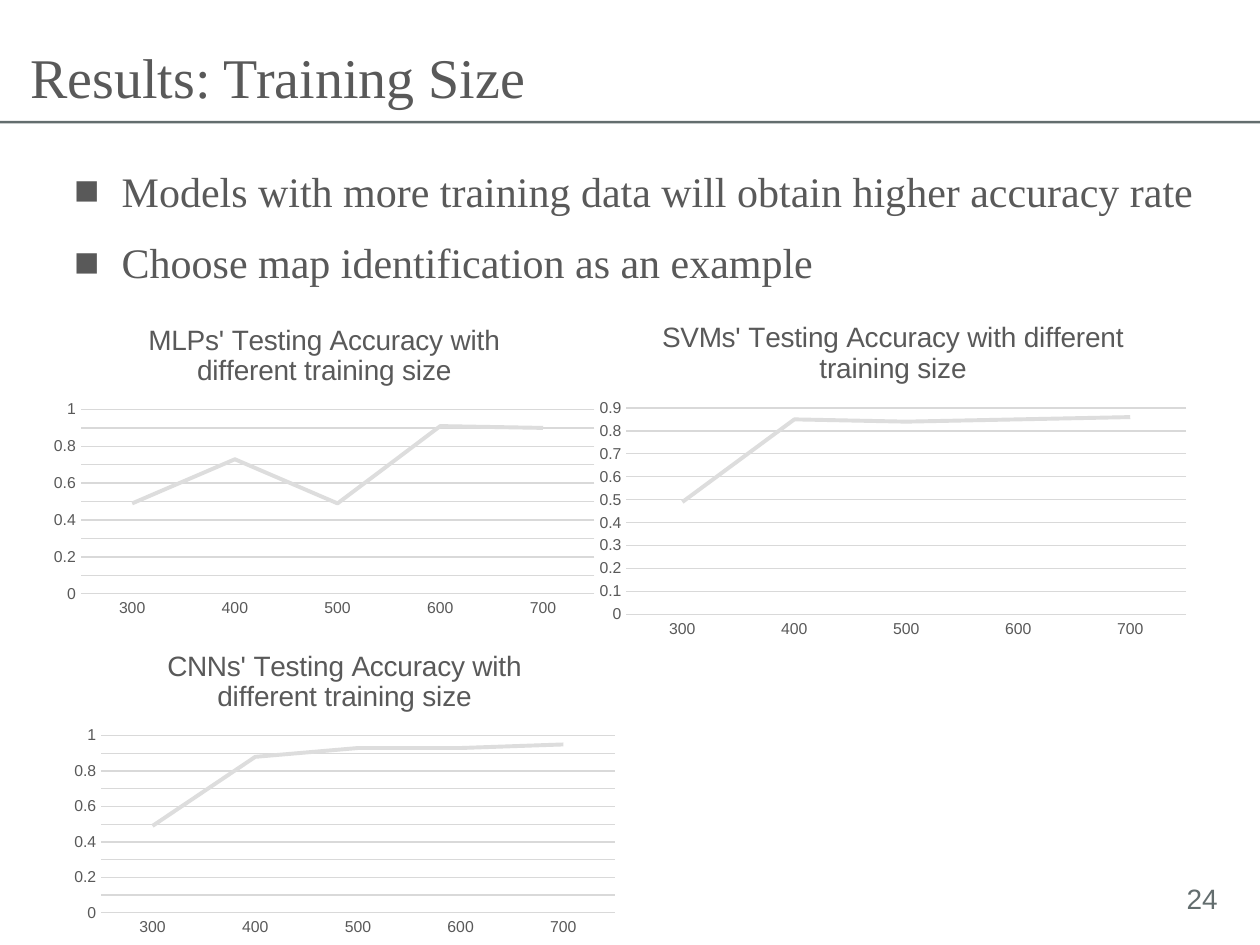
import pptx
import pptx.chart.data
import pptx.dml.color
import pptx.enum.chart
import pptx.enum.shapes
import pptx.enum.text
import pptx.oxml
import pptx.util

Cm, Pt = pptx.util.Cm, pptx.util.Pt

TITLE = "Results: Training Size"
POINTS = [
    "Models with more training data will obtain higher accuracy rate",
    "Choose map identification as an example",
]
PAGE_NUMBER = "24"
TRAINING_SIZES = ["300", "400", "500", "600", "700"]
CHARTS = [
    {"model": "MLPs", "box": (0.86, 6.12, 11.35, 6.45), "top": 1.0,
     "accuracy": (0.49, 0.73, 0.49, 0.91, 0.9)},
    {"model": "SVMs", "box": (11.84, 6.07, 12.32, 6.93), "top": 0.9,
     "accuracy": (0.49, 0.85, 0.84, 0.85, 0.86)},
    {"model": "CNNs", "box": (1.27, 12.7, 11.35, 6.3), "top": 1.0,
     "accuracy": (0.49, 0.88, 0.93, 0.93, 0.95)},
]
COLORS = {"text": "595959", "accent": "636D6E", "grid": "D9D9D9", "series": "DDDDDD"}
TITLE_FONT = {"name": "Times New Roman", "size": Pt(32), "bold": False}
BODY_FONT = {"name": "Times New Roman", "size": Pt(24)}
NUMBER_FONT = {"name": "Arial", "size": Pt(16)}
CHART_FONT = {"name": "Arial", "size": Pt(16), "bold": False}
AXIS_FONT = {"name": "Arial", "size": Pt(9)}
NAMESPACE = 'xmlns:a="http://schemas.openxmlformats.org/drawingml/2006/main"'


def apply(target, values):
    for name, value in values.items():
        setattr(target, name, value)


def color(name):
    return pptx.dml.color.RGBColor.from_string(COLORS[name])


def style_font(font, values, color_name="text"):
    apply(font, values)
    font.color.rgb = color(color_name)


def style_line(line, color_name, width):
    line.color.rgb = color(color_name)
    line.width = Pt(width)


def place(shape, left, top, width, height):
    apply(shape, {"left": Cm(left), "top": Cm(top), "width": Cm(width), "height": Cm(height)})


def add_heading(slide):
    bar = slide.shapes.add_shape(
        pptx.enum.shapes.MSO_SHAPE.RECTANGLE, 0, Cm(2.44), Cm(25.4), Cm(0.05))
    bar.shadow.inherit = False
    bar.fill.solid()
    bar.fill.fore_color.rgb = color("accent")
    bar.line.fill.background()
    title = slide.shapes.title
    place(title, 0.36, 0.05, 24.71, 2.06)
    title.text_frame.text = TITLE
    title.text_frame.vertical_anchor = pptx.enum.text.MSO_ANCHOR.TOP
    paragraph = title.text_frame.paragraphs[0]
    apply(paragraph, {"alignment": pptx.enum.text.PP_ALIGN.LEFT, "line_spacing": 1.5})
    style_font(paragraph.font, TITLE_FONT)


def add_points(slide):
    body = slide.placeholders[1]
    place(body, 1.24, 3.2, 23.09, 2.74)
    body.text_frame.text = "\n".join(POINTS)
    for index, paragraph in enumerate(body.text_frame.paragraphs):
        apply(paragraph, {"space_before": Pt(6 if index else 0), "space_after": Pt(6)})
        properties = paragraph._p.get_or_add_pPr()
        properties.set("marL", str(Cm(0.96)))
        properties.set("indent", str(-Cm(0.96)))
        properties.append(pptx.oxml.parse_xml(f'<a:buFont {NAMESPACE} typeface="Arial"/>'))
        properties.append(pptx.oxml.parse_xml(f'<a:buChar {NAMESPACE} char="■"/>'))
        style_font(paragraph.font, BODY_FONT)


def add_page_number(slide):
    box = slide.shapes.add_textbox(Cm(23.67), Cm(17.65), Cm(1.22), Cm(0.94))
    box.text_frame.text = PAGE_NUMBER
    box.text_frame.word_wrap = False
    style_font(box.text_frame.paragraphs[0].font, NUMBER_FONT, "accent")


def add_accuracy_chart(slide, model, box, top, accuracy):
    data = pptx.chart.data.CategoryChartData()
    data.categories = TRAINING_SIZES
    data.add_series("Series 1", accuracy)
    chart = slide.shapes.add_chart(
        pptx.enum.chart.XL_CHART_TYPE.LINE, *map(Cm, box), data).chart
    apply(chart, {"has_legend": False, "has_title": True})
    heading = chart.chart_title.text_frame
    heading.text = f"{model}' Testing Accuracy with different training size"
    style_font(heading.paragraphs[0].font, CHART_FONT)
    chart.plots[0].vary_by_categories = False
    series = chart.plots[0].series[0]
    series.smooth = False
    series.marker.style = pptx.enum.chart.XL_MARKER_STYLE.NONE
    style_line(series.format.line, "series", 2.25)
    for axis in (chart.category_axis, chart.value_axis):
        axis.major_tick_mark = pptx.enum.chart.XL_TICK_MARK.NONE
        style_font(axis.tick_labels.font, AXIS_FONT)
    style_line(chart.category_axis.format.line, "grid", 0.75)
    value_axis = chart.value_axis
    apply(value_axis, {"minimum_scale": 0, "maximum_scale": top, "major_unit": 0.1})
    value_axis.format.line.fill.background()
    style_line(value_axis.major_gridlines.format.line, "grid", 0.75)
    apply(value_axis.tick_labels, {"number_format": "General", "number_format_is_linked": False})


def main():
    """Build the training size results slide."""
    presentation = pptx.Presentation()
    apply(presentation, {"slide_width": Cm(25.4), "slide_height": Cm(19.05)})
    slide = presentation.slides.add_slide(presentation.slide_layouts[1])
    add_heading(slide)
    add_points(slide)
    add_page_number(slide)
    for chart in CHARTS:
        add_accuracy_chart(slide, **chart)
    presentation.save("out.pptx")


if __name__ == "__main__":
    main()
